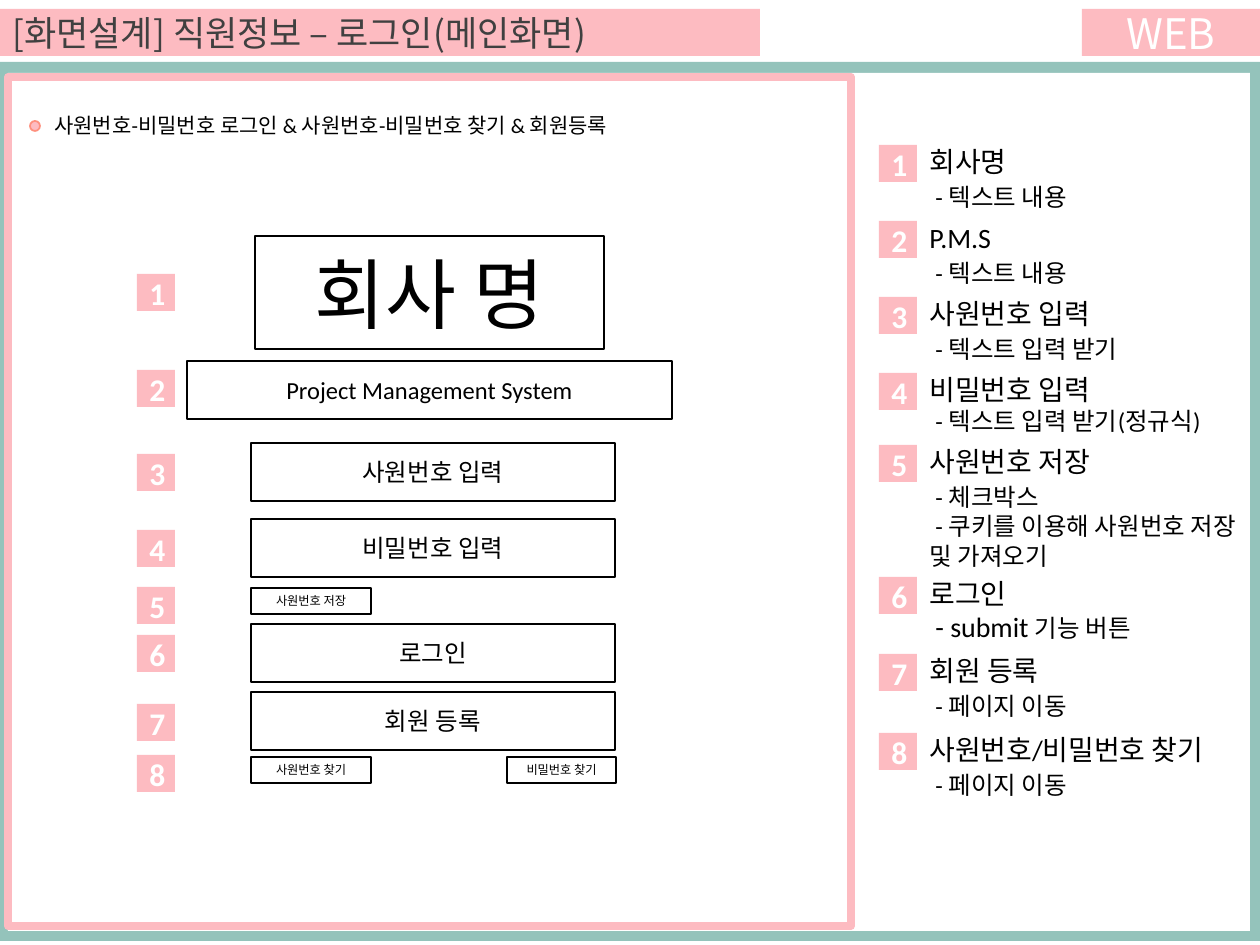
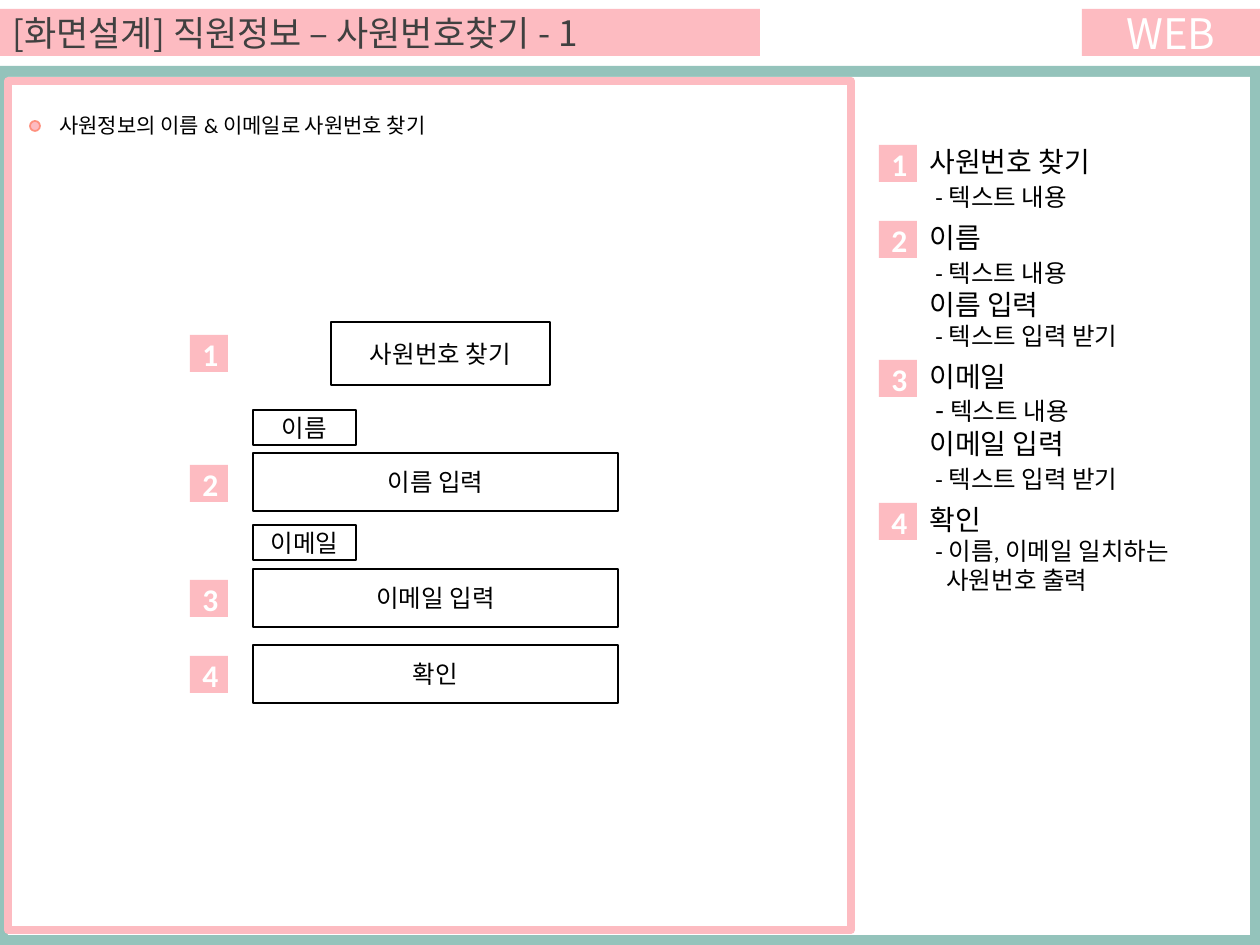
from dataclasses import dataclass

from lxml import etree
from pptx import Presentation
from pptx.dml.color import RGBColor
from pptx.enum import shapes, text
from pptx.oxml import ns
from pptx.util import Emu, Pt


@dataclass(frozen=True)
class Theme:
    green: str = "94C3BB"
    pink: str = "FDBBC1"
    coral: str = "FE907E"
    white: str = "FFFFFF"
    black: str = "000000"
    grey: str = "404040"
    body_font: str = "Calibri"
    band_font: str = "Noto Sans CJK KR"
    tag: int = 24
    title: int = 20
    badge: int = 18
    head: int = 16
    body: int = 14
    summary: int = 12
    small: int = 7
    hero: int = 44


THEME = Theme()
PX = 914400 / 126
RECT = shapes.MSO_SHAPE.RECTANGLE
OVAL = shapes.MSO_SHAPE.OVAL
BADGE_SIZE = (38, 37)
NOTE_LEFT, NOTE_WIDTH, NOTE_RISE = 879, 334, 7

LINE_STYLES = {
    "head": {"size": THEME.head, "indent": 0, "before": 0},
    "item": {"size": THEME.body, "indent": 6, "before": 2.3},
    "tight": {"size": THEME.body, "indent": 6, "before": 0},
    "more": {"size": THEME.body, "indent": 17, "before": 0},
}

SCREENS = [
    {
        "title": "[화면설계] 직원정보 – 로그인(메인화면)",
        "summary": "사원번호-비밀번호 로그인 & 사원번호-비밀번호 찾기 & 회원등록",
        "summary_indent": 0,
        "frame_top": 62,
        "badge_left": 137,
        "badge_tops": [274, 370, 454, 530, 587, 635, 704, 755],
        "fields": [
            ("회사 명", 255, 236, 349, 113, THEME.hero),
            ("Project Management System", 187, 361, 485, 58, THEME.body),
            ("사원번호 입력", 251, 443, 364, 58, THEME.body),
            ("비밀번호 입력", 251, 519, 364, 58, THEME.body),
            ("사원번호 저장", 251, 588, 120, 26, THEME.small),
            ("로그인", 251, 624, 364, 58, THEME.body),
            ("회원 등록", 251, 692, 364, 58, THEME.body),
            ("사원번호 찾기", 251, 757, 120, 26, THEME.small),
            ("비밀번호 찾기", 507, 757, 109, 26, THEME.small),
        ],
        "notes": [
            (145, [("head", "회사명"), ("item", "- 텍스트 내용")]),
            (221, [("head", "P.M.S"), ("item", "- 텍스트 내용")]),
            (297, [("head", "사원번호 입력"), ("item", "- 텍스트 입력 받기")]),
            (373, [("head", "비밀번호 입력"), ("tight", "- 텍스트 입력 받기(정규식)")]),
            (445, [("head", "사원번호 저장"), ("item", "- 체크박스"),
                   ("tight", "- 쿠키를 이용해 사원번호 저장 및 가져오기")]),
            (577, [("head", "로그인"), ("tight", "기능 버튼", "- submit ")]),
            (654, [("head", "회원 등록"), ("item", "- 페이지 이동")]),
            (733, [("head", "사원번호/비밀번호 찾기"), ("item", "- 페이지 이동")]),
        ],
    },
    {
        "title": "[화면설계] 직원정보 – 사원번호찾기 - 1",
        "summary": "사원정보의 이름 & 이메일로 사원번호 찾기",
        "summary_indent": 5,
        "frame_top": 66,
        "badge_left": 190,
        "badge_tops": [335, 465, 580, 656],
        "fields": [
            ("사원번호 찾기", 331, 322, 219, 63, THEME.body),
            ("이름", 253, 410, 103, 35, THEME.body),
            ("이름 입력", 253, 453, 365, 58, THEME.body),
            ("이메일", 253, 525, 103, 35, THEME.body),
            ("이메일 입력", 253, 569, 365, 58, THEME.body),
            ("확인", 253, 645, 365, 58, THEME.body),
        ],
        "notes": [
            (145, [("head", "사원번호 찾기"), ("item", "- 텍스트 내용")]),
            (221, [("head", "이름"), ("item", "- 텍스트 내용"),
                   ("head", "이름 입력"), ("tight", "- 텍스트 입력 받기")]),
            (360, [("head", "이메일"), ("tight", "텍스트 내용", "- "),
                   ("head", "이메일 입력"), ("item", "- 텍스트 입력 받기")]),
            (503, [("head", "확인"), ("tight", "- 이름, 이메일 일치하는"),
                   ("more", "사원번호 출력")]),
        ],
    },
]


def px(*lengths):
    return [Emu(round(length * PX)) for length in lengths]


def add_run(paragraph, words, color=THEME.black, face=THEME.body_font, **formats):
    run = paragraph.add_run()
    run.text = words
    for name, value in {"name": face, **formats}.items():
        setattr(run.font, name, value)
    run.font.color.rgb = RGBColor.from_string(color)
    east = etree.SubElement(run.font._element, ns.qn("a:ea"))
    east.set("typeface", THEME.band_font)


def add_block(slide, place, fill=None, line=None, weight=1, kind=RECT):
    block = slide.shapes.add_shape(kind, *px(*place))
    block.shadow.inherit = False
    if fill:
        block.fill.solid()
        block.fill.fore_color.rgb = RGBColor.from_string(fill)
    else:
        block.fill.background()
    if line:
        block.line.color.rgb = RGBColor.from_string(line)
        block.line.width = Pt(weight)
    else:
        block.line.fill.background()
    return block


def add_label(slide, place, words, fill, size, line=None, align=text.PP_ALIGN.CENTER, **formats):
    block = add_block(slide, place, fill, line)
    block.text_frame.vertical_anchor = text.MSO_ANCHOR.MIDDLE
    paragraph = block.text_frame.paragraphs[0]
    paragraph.alignment = align
    add_run(paragraph, words, size=Pt(size), **formats)


def add_badge(slide, left, top, number):
    add_label(slide, (left, top, *BADGE_SIZE), str(number), THEME.pink,
              THEME.badge, color=THEME.white, bold=True)


def add_text(slide, place):
    frame = slide.shapes.add_textbox(*px(*place)).text_frame
    frame.word_wrap = True
    return frame


def set_indent(paragraph, indent):
    properties = paragraph._p.get_or_add_pPr()
    properties.set("marL", "0")
    properties.set("indent", str(px(indent)[0]))


def add_note(slide, top, number, lines):
    add_badge(slide, NOTE_LEFT, top, number)
    place = (NOTE_LEFT + BADGE_SIZE[0], top - NOTE_RISE, NOTE_WIDTH, 30 + 25 * len(lines))
    frame = add_text(slide, place)
    for index, (style, words, *lead) in enumerate(lines):
        look = LINE_STYLES[style]
        paragraph = frame.add_paragraph() if index else frame.paragraphs[0]
        set_indent(paragraph, look["indent"])
        if look["before"]:
            paragraph.space_before = Pt(look["before"])
        for opening in lead:
            add_run(paragraph, opening, size=Pt(THEME.head))
        add_run(paragraph, words, size=Pt(look["size"]))


def add_base(slide, screen):
    top = screen["frame_top"]
    add_block(slide, (0, top, 1260, 879), THEME.green)
    add_block(slide, (8, top + 11, 1242, 858), THEME.white)
    add_block(slide, (8, top + 15, 843, 849), line=THEME.pink, weight=4.5)
    add_label(slide, (0, 9, 760, 47), screen["title"], THEME.pink, THEME.title,
              align=text.PP_ALIGN.LEFT, color=THEME.grey, face=THEME.band_font)
    add_label(slide, (1082, 9, 178, 47), "WEB", THEME.pink, THEME.tag,
              color=THEME.white, face=THEME.band_font)
    add_block(slide, (30, 121, 10, 10), THEME.pink, THEME.coral, kind=OVAL)
    summary = add_text(slide, (42, 106, 700, 38)).paragraphs[0]
    set_indent(summary, screen["summary_indent"])
    add_run(summary, screen["summary"], size=Pt(THEME.summary))


def add_screen(deck, screen):
    slide = deck.slides.add_slide(deck.slide_layouts[6])
    add_base(slide, screen)
    for words, left, top, width, height, size in screen["fields"]:
        add_label(slide, (left, top, width, height), words, THEME.white, size, THEME.black)
    for number, top in enumerate(screen["badge_tops"], 1):
        add_badge(slide, screen["badge_left"], top, number)
    for number, (top, lines) in enumerate(screen["notes"], 1):
        add_note(slide, top, number, lines)


def main():
    deck = Presentation()
    deck.slide_width, deck.slide_height = px(1260, 945)
    for screen in SCREENS:
        add_screen(deck, screen)
    deck.save("out.pptx")


if __name__ == "__main__":
    main()
